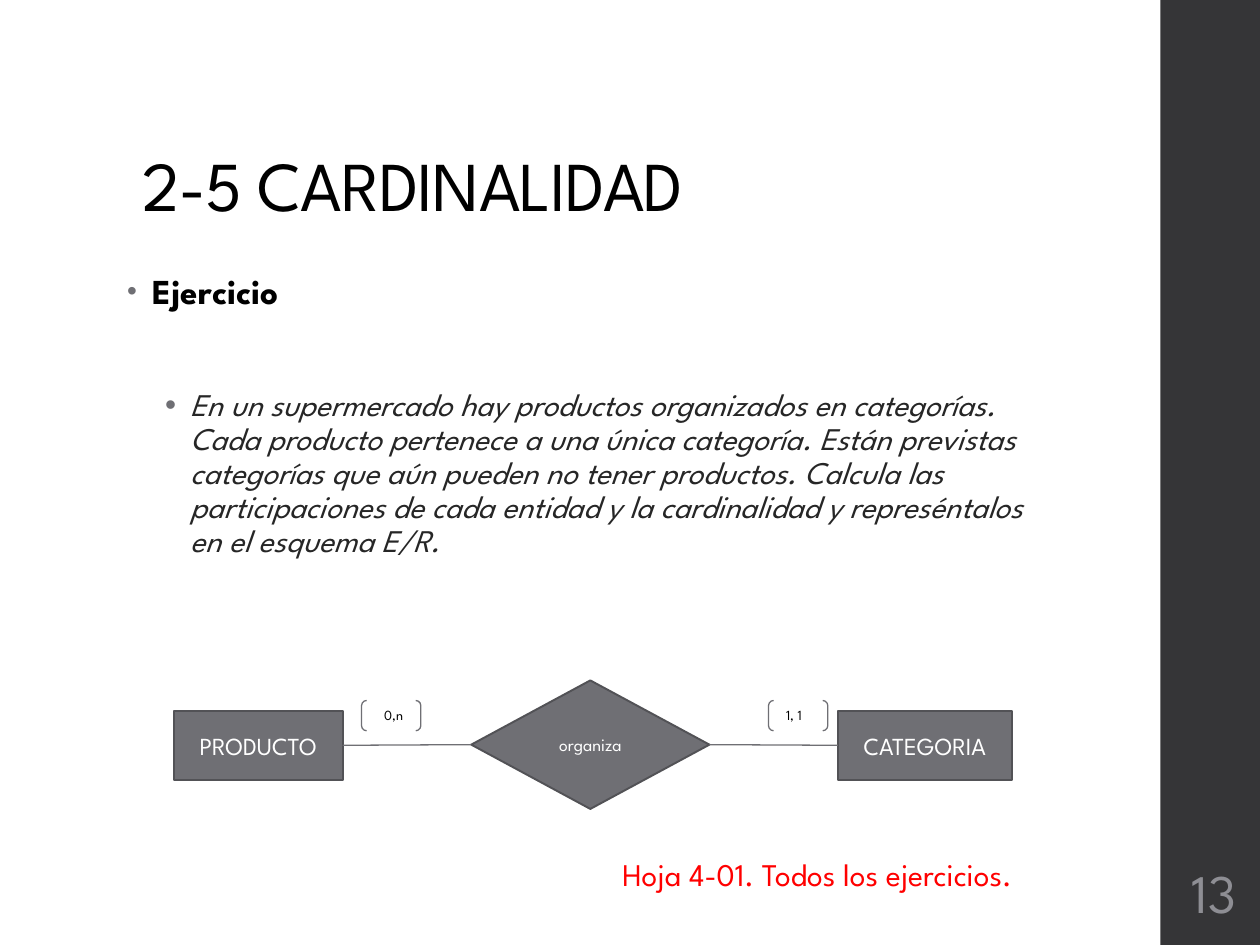
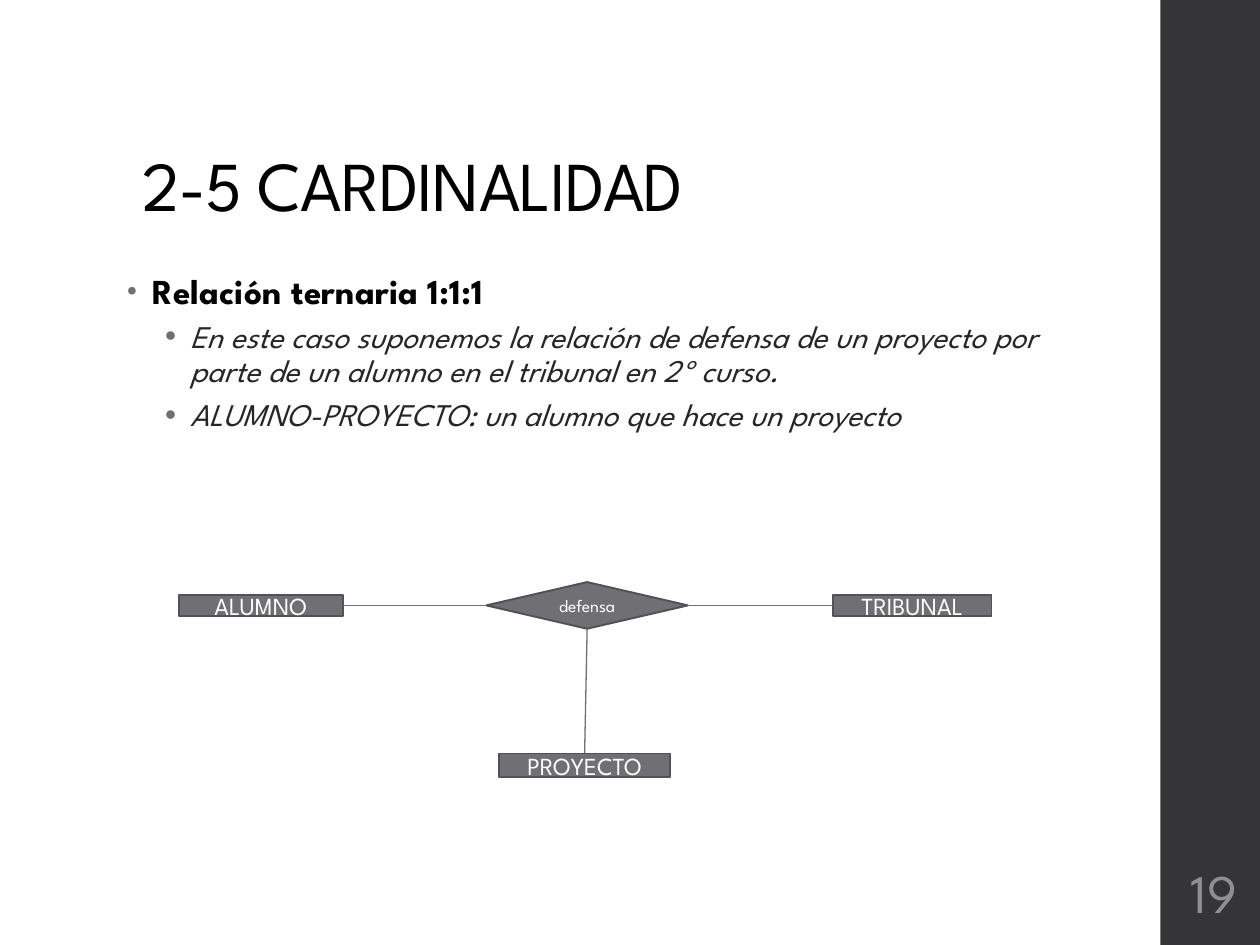
from pptx import Presentation
from pptx.dml.color import RGBColor as RGB
from pptx.enum.shapes import MSO_CONNECTOR as LINE, MSO_SHAPE as SHAPE
from pptx.enum.text import MSO_ANCHOR as ANCHOR, MSO_AUTO_SIZE as FIT, PP_ALIGN as ALIGN
from pptx.oxml.ns import qn
from pptx.util import Inches, Pt
from lxml.etree import SubElement as Sub

C = {"band": "353537", "fill": "6F6F74", "edge": "525256", "number": "8E8E94",
     "title": "000000", "text": "262626", "light": "FFFFFF", "alert": "FF0000"}
FONT = "League Spartan"

prs = Presentation()
prs.slide_width, prs.slide_height = Inches(10), Inches(7.5)
COL, ROW = prs.slide_width / 100, prs.slide_height / 75


def grid(x, y, w, h):
    return [round(v * unit) for v, unit in zip((x, y, w, h), (COL, ROW, COL, ROW))]


def write(p, text, color, size, spacing=0, **fmt):
    r = p.add_run()
    r.text = text
    for key, value in {"name": FONT, "size": Pt(size), **fmt}.items():
        setattr(r.font, key, value)
    r.font.color.rgb = RGB.from_string(C[color])
    if spacing:
        r._r.get_or_add_rPr().set("spc", str(spacing))


LEVELS = [
    {"para": {"line_spacing": 0.95, "space_before": Pt(14), "space_after": Pt(2)},
     "run": {"color": "title", "size": 20, "spacing": 10, "bold": True},
     "margin": 0.2, "bullet": "80000"},
    {"para": {"line_spacing": 0.9, "space_before": Pt(3), "space_after": Pt(3)},
     "run": {"color": "text", "size": 18, "italic": True},
     "margin": 0.5, "bullet": "100000"},
]

SLIDES = [
    {"number": "13", "body": (9.1, 21.1, 73.2, 29), "gap": 42,
     "items": [
         (0, "Ejercicio"),
         (1, "En un supermercado hay productos organizados en categorías. Cada producto "
             "pertenece a una única categoría. Están previstas categorías que aún pueden no "
             "tener productos. Calcula las participaciones de cada entidad y la cardinalidad "
             "y represéntalos en el esquema E/R.")],
     "relation": ("organiza", (37.4, 54, 18.9, 10.2)),
     "entities": [("PRODUCTO", (13.8, 56.4, 13.4, 5.5), 1, 3),
                  ("CATEGORIA", (66.5, 56.4, 13.8, 5.5), 3, 1)],
     "brackets": [28.7, 61],
     "labels": [("0,n", (29.5, 55.6, 3.9, 2.4), 8, "title"),
                ("1, 1", (61.4, 55.6, 4.7, 2.4), 8, "title"),
                ("Hoja 4-01. Todos los ejercicios.", (48.4, 67.4, 36.2, 7.1), 18, "alert")]},
    {"number": "19", "body": (9.1, 21.1, 74.8, 17.9), "gap": 3,
     "items": [
         (0, "Relación ternaria 1:1:1"),
         (1, "En este caso suponemos la relación de defensa de un proyecto por parte de un "
             "alumno en el tribunal en 2º curso."),
         (1, "ALUMNO-PROYECTO: un alumno que hace un proyecto")],
     "relation": ("defensa", (38.6, 46.2, 16, 3.7)),
     "entities": [("ALUMNO", (14.2, 47.2, 13, 1.7), 1, 3),
                  ("TRIBUNAL", (66.1, 47.2, 12.6, 1.7), 3, 1),
                  ("PROYECTO", (39.6, 59.8, 13.6, 1.9), 2, 0)],
     "brackets": [], "labels": []},
]

for data in SLIDES:
    s = prs.slides.add_slide(prs.slide_layouts[1])
    title, body = s.placeholders[0], s.placeholders[1]

    band = s.shapes.add_shape(SHAPE.RECTANGLE, *grid(92.1, 0, 7.9, 75))
    band.shadow.inherit = False
    band.fill.solid()
    band.fill.fore_color.rgb = RGB.from_string(C["band"])
    band.line.fill.background()

    title.left, title.top, title.width, title.height = grid(10.3, 4, 79.5, 14.5)
    tf = title.text_frame
    tf.vertical_anchor, tf.auto_size = ANCHOR.BOTTOM, FIT.NONE
    p = tf.paragraphs[0]
    p.alignment, p.line_spacing = ALIGN.LEFT, 0.9
    write(p, "2-5 CARDINALIDAD", "title", 40, -50)

    body.left, body.top, body.width, body.height = grid(*data["body"])
    tf = body.text_frame
    tf.auto_size = FIT.NONE
    for i, (level, text) in enumerate(data["items"]):
        p = tf.add_paragraph() if i else tf.paragraphs[0]
        look = LEVELS[level]
        p.level = level
        for key, value in look["para"].items():
            setattr(p, key, value)
        if i == 1:
            p.space_before = Pt(data["gap"])
        pPr = p._p.get_or_add_pPr()
        pPr.set("marL", str(Inches(look["margin"])))
        pPr.set("indent", str(Inches(-0.2)))
        Sub(Sub(pPr, qn("a:buClr")), qn("a:srgbClr"), val=C["fill"])
        Sub(pPr, qn("a:buSzPct"), val=look["bullet"])
        Sub(pPr, qn("a:buFont"), typeface="Arial")
        Sub(pPr, qn("a:buChar"), char="•")
        write(p, text, **look["run"])

    sp = s.shapes.add_textbox(*grid(92.6, 67.5, 7.5, 6.5))
    tf = sp.text_frame
    for key, value in {"word_wrap": True, "vertical_anchor": ANCHOR.MIDDLE,
                       "margin_left": Inches(0.03), "margin_right": Inches(0.03)}.items():
        setattr(tf, key, value)
    p = tf.paragraphs[0]
    p.alignment, p.space_after = ALIGN.CENTER, Pt(6)
    write(p, data["number"], "number", 31)

    nodes = [(SHAPE.DIAMOND, *data["relation"], 10)]
    nodes += [(SHAPE.RECTANGLE, name, box, 14) for name, box, _, _ in data["entities"]]
    drawn = []
    for kind, name, box, size in nodes:
        sp = s.shapes.add_shape(kind, *grid(*box))
        sp.shadow.inherit = False
        sp.fill.solid()
        sp.fill.fore_color.rgb = RGB.from_string(C["fill"])
        sp.line.color.rgb = RGB.from_string(C["edge"])
        sp.line.width = Pt(1.1)
        p = sp.text_frame.paragraphs[0]
        p.alignment = ALIGN.CENTER
        write(p, name, "light", size)
        drawn.append(sp)

    relation, *entities = drawn
    for entity, (_, _, start, end) in zip(entities, data["entities"]):
        link = s.shapes.add_connector(LINE.STRAIGHT, 0, 0, 0, 0)
        link.begin_connect(relation, start)
        link.end_connect(entity, end)
        link.line.color.rgb = RGB.from_string(C["fill"])
        link.line.width = Pt(0.75)
        Sub(link._element.spPr, qn("a:effectLst"))

    for x in data["brackets"]:
        sp = s.shapes.add_shape(SHAPE.DOUBLE_BRACKET, *grid(x, 55.6, 4.7, 2.4))
        sp.shadow.inherit = False
        sp.fill.background()
        sp.line.color.rgb = RGB.from_string(C["fill"])
        sp.line.width = Pt(0.75)

    for text, box, size, color in data["labels"]:
        sp = s.shapes.add_textbox(*grid(*box))
        sp.text_frame.word_wrap = True
        write(sp.text_frame.paragraphs[0], text, color, size)

prs.save("out.pptx")
